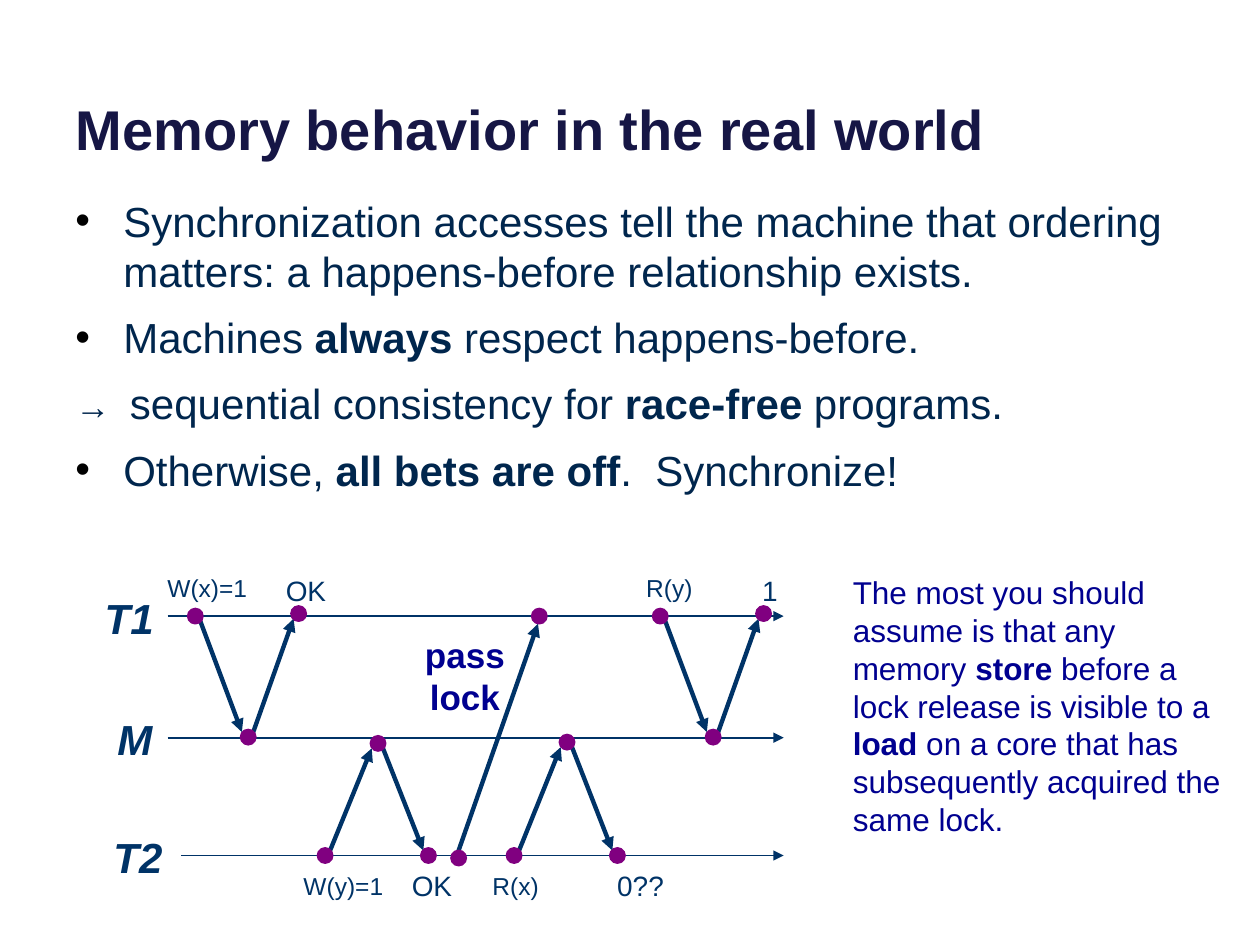
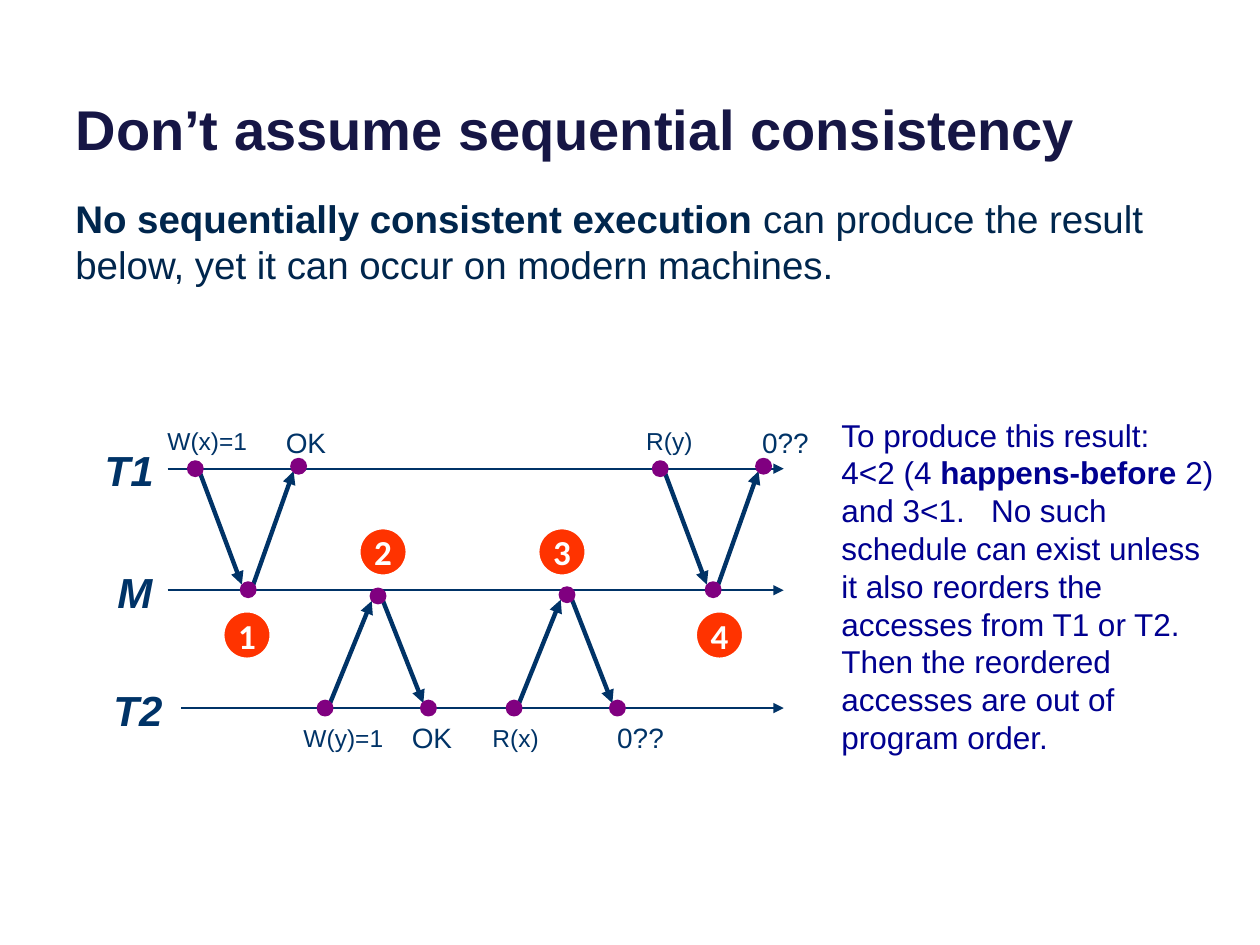
from lxml import etree
from pptx import Presentation, util as u
from pptx.dml.color import RGBColor
from pptx.enum import shapes, text
from pptx.oxml.ns import qn

NAVY = RGBColor(0x00, 0x33, 0x67)
INK = RGBColor(0x00, 0x26, 0x4D)
HEAD = RGBColor(0x16, 0x16, 0x45)
BLUE = RGBColor(0x00, 0x00, 0x90)
PLUM = RGBColor(0x80, 0x00, 0x80)
RED = RGBColor(0xFF, 0x33, 0x00)
WHITE = RGBColor(0xFF, 0xFF, 0xFF)
LEFT, MID = text.PP_ALIGN.LEFT, text.PP_ALIGN.CENTER

deck = Presentation()
deck.slide_width, deck.slide_height = u.Inches(10), u.Inches(7.5)
COL = deck.slide_width / 100
ROW = deck.slide_height / 75


def write(page, x, y, w, h, lines, size, tint, align=LEFT, gap=0):
    box = page.shapes.add_textbox(int(x * COL), int(y * ROW), int(w * COL), int(h * ROW))
    frame = box.text_frame
    frame.word_wrap = True
    for i, line in enumerate(lines):
        para = frame.paragraphs[0] if i == 0 else frame.add_paragraph()
        para.alignment = align
        para.space_before = u.Pt(gap)
        for j, part in enumerate(line.split("*")):
            if part:
                run = para.add_run()
                run.text = part
                run.font.name, run.font.size = "Arial", u.Pt(size)
                run.font.bold = j % 2 == 1
                run.font.color.rgb = tint
    return frame


def link(page, x1, y1, x2, y2, width):
    line = page.shapes.add_connector(
        shapes.MSO_CONNECTOR.STRAIGHT,
        int(x1 * COL), int(y1 * ROW), int(x2 * COL), int(y2 * ROW))
    line.line.color.rgb = NAVY
    line.line.width = u.Pt(width)
    etree.SubElement(line.line._get_or_add_ln(), qn("a:tailEnd"), type="triangle")
    etree.SubElement(line._element.spPr, qn("a:effectLst"))


talks = [
    ("Memory behavior in the real world", 48.9, "1", 24, [
        "Synchronization accesses tell the machine that ordering matters: "
        "a happens-before relationship exists.",
        "Machines *always* respect happens-before.",
        "→  **sequential consistency for *race-free* programs.",
        "Otherwise, *all bets are off*.  Synchronize!"],
     (66.7, 45), [
        "The most you should assume is that any memory *store* before a lock release "
        "is visible to a *load* on a core that has subsequently acquired the same lock."]),
    ("Don’t assume sequential consistency", 37.2, "0??", 22, [
        "*No sequentially consistent execution *can produce the result below, "
        "yet it can occur on modern machines."],
     (65.8, 32.5), [
        "To produce this result:",
        "4<2 (4 *happens-before *2) and 3<1.   No such schedule can exist unless it also "
        "reorders the accesses from T1 or T2.  Then the reordered accesses are out of "
        "program order."]),
]
axes = [("T1", 10.25, 13.3, 0), ("M", 10.7, 13.3, 9.65), ("T2", 10.95, 14.4, 19)]
vees = [(15.5, 1, 0, 9.6, -0.2), (25.8, -1, 19, 10.1, 19),
        (52.4, 1, 0, 9.6, -0.2), (40.8, -1, 19, 10, 19)]

for name, top, last, size, body, side, note in talks:
    page = deck.slides.add_slide(deck.slide_layouts[5])
    title = page.shapes.title
    title.left, title.top = int(5 * COL), int(-3.7 * ROW)
    title.width, title.height = int(90 * COL), int(17 * ROW)
    frame = title.text_frame
    frame.text = name
    frame.auto_size = text.MSO_AUTO_SIZE.NONE
    frame.vertical_anchor = text.MSO_ANCHOR.BOTTOM
    frame.paragraphs[0].alignment = LEFT
    font = frame.paragraphs[0].runs[0].font
    font.name, font.size, font.bold = "Arial", u.Pt(32), True
    font.color.rgb = HEAD

    frame = write(page, 5, 15, 90.5, 28, body, size, INK, gap=9)
    for para in frame.paragraphs:
        if para.text.startswith("→"):
            para.runs[0].font.size = u.Pt(20)
        elif len(body) > 1:
            props = para._p.get_or_add_pPr()
            props.set("marL", str(u.Inches(0.38)))
            props.set("indent", str(u.Inches(-0.38)))
            tone = etree.SubElement(props, qn("a:buClr"))
            etree.SubElement(tone, qn("a:srgbClr"), val="000000")
            etree.SubElement(props, qn("a:buFont"), typeface="Arial")
            etree.SubElement(props, qn("a:buChar"), char="•")

    for tag, x, start, y in axes:
        link(page, start, top + y, 62.2, top + y, 1)
        frame = write(page, x - 4.05, top + y - 2.4, 8.1, 5, [f"*{tag}*"], 24, NAVY, MID)
        frame.vertical_anchor = text.MSO_ANCHOR.MIDDLE
        frame.paragraphs[0].runs[0].font.italic = True

    dots = []
    for x, way, y1, y2, y3 in vees:
        y1, y2, y3 = top + y1, top + y2, top + y3
        pad = 0.4 * way
        link(page, x + 0.4, y1 + pad, x + 3.7, y2 - pad, 2.5)
        link(page, x + 4.6, y2 - pad, x + 7.8, y3 + pad, 2.5)
        dots += [(x, y1), (x + 4.2, y2), (x + 8.2, y3)]

    if name == talks[0][0]:
        link(page, 36.4, top + 18.6, 42.7, top + 0.6, 2.5)
        dots += [(36.4, top + 19.2), (42.8, top)]
        write(page, 30.5, top + 0.9, 12.8, 7.7, ["*pass lock*"], 20, BLUE, MID)

    for x, y in dots:
        dot = page.shapes.add_shape(
            shapes.MSO_SHAPE.OVAL, int((x - 0.6) * COL), int((y - 0.6) * ROW),
            int(1.2 * COL), int(1.2 * ROW))
        dot.shadow.inherit = False
        dot.fill.solid()
        dot.fill.fore_color.rgb = dot.line.color.rgb = PLUM
        dot.line.width = u.Pt(1)

    for x, y, word, points in [
            (12.3, -3.9, "W(x)=1", 14), (21.7, -3.9, "OK", 16),
            (50.3, -3.9, "R(y)", 14), (59.5, -3.9, last, 16),
            (23.1, 19.7, "W(y)=1", 14), (31.7, 19.5, "OK", 16),
            (38.1, 19.7, "R(x)", 14), (48, 19.5, "0??", 16)]:
        write(page, x, top + y, 8.9, 3.5, [word], points, NAVY)
    write(page, *side, 31.7, 25, note, 18, BLUE)

for mark, x, y in [("1", 17.5, 48.3), ("2", 28.3, 41.7), ("3", 42.5, 41.7), ("4", 55, 48.3)]:
    disc = page.shapes.add_shape(
        shapes.MSO_SHAPE.OVAL, int(x * COL), int(y * ROW), int(4.2 * COL), int(4.2 * ROW))
    disc.shadow.inherit = False
    disc.fill.solid()
    disc.fill.fore_color.rgb = RED
    disc.line.color.rgb = WHITE
    disc.line.width = u.Pt(4.5)
    frame = disc.text_frame
    frame.word_wrap = False
    frame.text = mark
    frame.vertical_anchor = text.MSO_ANCHOR.MIDDLE
    frame.paragraphs[0].alignment = MID
    font = frame.paragraphs[0].runs[0].font
    font.name, font.size, font.bold = "Calibri", u.Pt(20), True
    font.color.rgb = WHITE

deck.save("out.pptx")
